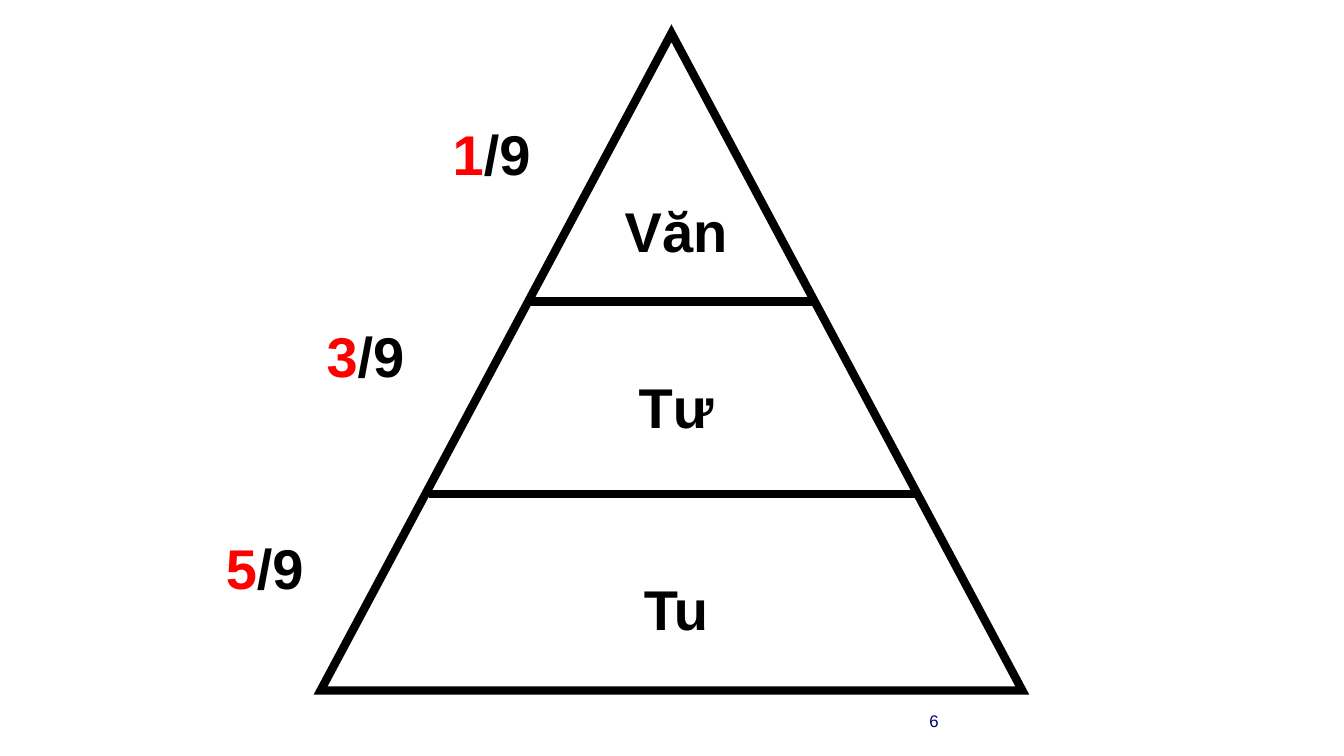
from lxml.etree import SubElement
from pptx import Presentation
from pptx.dml.color import RGBColor
from pptx.enum.shapes import MSO_CONNECTOR, MSO_SHAPE
from pptx.enum.text import MSO_ANCHOR, PP_ALIGN
from pptx.oxml.ns import qn
from pptx.util import Inches, Pt

BLACK = RGBColor(0x00, 0x00, 0x00)
RED = RGBColor(0xFF, 0x00, 0x00)
NAVY = RGBColor(0x00, 0x00, 0x66)

OUTLINE = Pt(6)
LABEL_WIDTH, LABEL_HEIGHT = 1.25, 0.77
LEVEL_LEFT = 6.08

# Level name, its top, share of nine, left and top of the share
LEVELS = [
    ("Văn", 1.9, "1", 4.25, 1.14),
    ("Tư", 3.65, "3", 3, 3.14),
    ("Tu", 5.65, "5", 2, 5.24),
]
# Left end, right end and height of each dividing line
DIVIDERS = [(5.25, 8.08, 2.99), (4.25, 9.08, 4.9)]


def add_text(slide, runs, left, top, width=LABEL_WIDTH, height=LABEL_HEIGHT, *,
             size=40, bold=True, align=PP_ALIGN.CENTER, anchor=MSO_ANCHOR.TOP):
    """Add one line of text made of (wording, colour) runs."""
    box = slide.shapes.add_textbox(
        Inches(left), Inches(top), Inches(width), Inches(height))
    frame = box.text_frame
    frame.word_wrap = True
    frame.vertical_anchor = anchor
    paragraph = frame.paragraphs[0]
    paragraph.alignment = align
    for wording, colour in runs:
        run = paragraph.add_run()
        run.text = wording
        run.font.name = "Arial"
        run.font.size = Pt(size)
        run.font.bold = bold
        run.font.color.rgb = colour


def add_pyramid(slide, left, top, width, height):
    pyramid = slide.shapes.add_shape(
        MSO_SHAPE.ISOSCELES_TRIANGLE,
        Inches(left), Inches(top), Inches(width), Inches(height))
    pyramid.shadow.inherit = False
    pyramid.fill.background()
    pyramid.line.color.rgb = BLACK
    pyramid.line.width = OUTLINE
    # Sharp corners
    outline = pyramid.line.fill._xPr
    SubElement(outline, qn("a:miter"), lim="800000")


def add_divider(slide, left, right, height):
    divider = slide.shapes.add_connector(
        MSO_CONNECTOR.STRAIGHT,
        Inches(left), Inches(height), Inches(right), Inches(height))
    divider.line.color.rgb = BLACK
    divider.line.width = OUTLINE
    SubElement(divider._element.spPr, qn("a:effectLst"))


def main():
    presentation = Presentation()
    presentation.slide_width = Inches(13.33)
    presentation.slide_height = Inches(7.5)
    slide = presentation.slides.add_slide(presentation.slide_layouts[6])

    # Slide number
    add_text(slide, [("6", NAVY)], 9.12, 6.99, 2.36, 0.33, size=12, bold=False,
             align=PP_ALIGN.LEFT, anchor=MSO_ANCHOR.MIDDLE)

    # Pyramid and its dividing lines
    add_pyramid(slide, 3.18, 0.33, 6.96, 6.52)
    for left, right, height in DIVIDERS:
        add_divider(slide, left, right, height)

    # Levels and their shares
    for level, level_top, share, share_left, share_top in LEVELS:
        add_text(slide, [(level, BLACK)], LEVEL_LEFT, level_top)
        add_text(slide, [(share, RED), ("/9", BLACK)], share_left, share_top)

    presentation.save("out.pptx")


if __name__ == "__main__":
    main()
